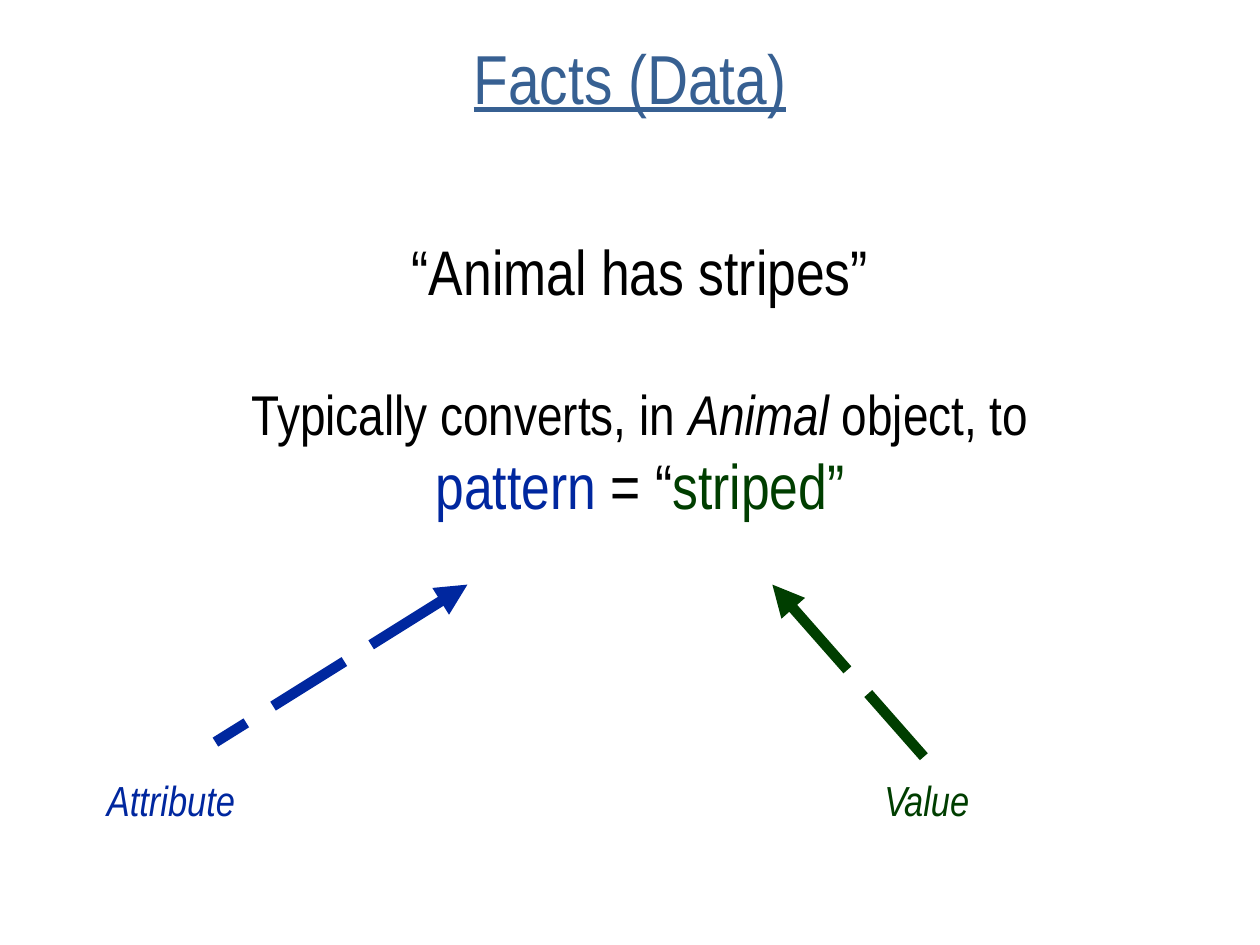
import pptx
import pptx.util
import pptx.dml.color
import pptx.enum.dml
import pptx.enum.shapes
import pptx.enum.text
import pptx.oxml.ns
import lxml.etree

Inches, Pt = pptx.util.Inches, pptx.util.Pt
ALIGN, ANCHOR = pptx.enum.text.PP_ALIGN, pptx.enum.text.MSO_ANCHOR
COLORS = {"title": "376092", "text": "000000", "attribute": "00279F", "value": "003E00"}
FONT = "Arial Narrow"


def rgb(name):
    return pptx.dml.color.RGBColor.from_string(COLORS[name])


def add_run(p, text, size, color="text", **formats):
    r = p.add_run()
    r.text = text
    for key, value in {"name": FONT, "size": Pt(size), **formats}.items():
        setattr(r.font, key, value)
    r.font.color.rgb = rgb(color)


def set_title(slide, text):
    sp = slide.shapes.title
    box = {"left": 0.5, "top": 0.3, "width": 9, "height": 0.62}
    for key, value in box.items():
        setattr(sp, key, Inches(value))
    tf = sp.text_frame
    tf.auto_size = pptx.enum.text.MSO_AUTO_SIZE.NONE
    tf.vertical_anchor = ANCHOR.MIDDLE
    p = tf.paragraphs[0]
    p.alignment = ALIGN.CENTER
    add_run(p, text, 39.6, "title", underline=True)


def add_text(slide, box, paragraphs, align=ALIGN.LEFT, anchor=ANCHOR.TOP):
    """Each paragraph is (space before in points, list of run arguments)."""
    sp = slide.shapes.add_textbox(*map(Inches, box))
    tf = sp.text_frame
    tf.word_wrap = True
    tf.vertical_anchor = anchor
    for i, (space, runs) in enumerate(paragraphs):
        p = tf.add_paragraph() if i else tf.paragraphs[0]
        p.alignment = align
        p.space_before = Pt(space)
        for text, size, color, italic in runs:
            add_run(p, text, size, color, italic=italic)


def add_arrow(slide, tip, end, color):
    """Dashed line with its arrowhead at tip."""
    line_type = pptx.enum.shapes.MSO_CONNECTOR.STRAIGHT
    sp = slide.shapes.add_connector(line_type, *map(Inches, tip + end))
    sp.line.color.rgb = rgb(color)
    sp.line.width = Pt(6)
    sp.line.dash_style = pptx.enum.dml.MSO_LINE.LONG_DASH
    qn = pptx.oxml.ns.qn
    lxml.etree.SubElement(sp.line._get_or_add_ln(), qn("a:headEnd"), type="triangle")
    lxml.etree.SubElement(sp._element.spPr, qn("a:effectLst"))


def main():
    prs = pptx.Presentation()
    prs.slide_width, prs.slide_height = Inches(10), Inches(7.5)
    slide = prs.slides.add_slide(prs.slide_layouts[5])
    set_title(slide, "Facts (Data)")

    # Statement and its conversion
    statement = [
        (0, [("“Animal has stripes”", 36, "text", False)]),
        (41, [("Typically converts, in ", 32, "text", False),
              ("Animal", 32, "text", True),
              (" object, to", 32, "text", False)]),
        (0, [("pattern", 36, "attribute", False),
             (" = “", 36, "text", False),
             ("striped”", 36, "value", False)]),
    ]
    add_text(slide, (1.08, 1.77, 8, 2.45), statement, ALIGN.CENTER, ANCHOR.MIDDLE)

    # Labels with arrows to the parts they name
    labels = [
        ("Attribute", "attribute", 0.75, (3.71, 4.64), (1.71, 5.89)),
        ("Value", "value", 6.92, (6.13, 4.64), (7.38, 6.06)),
    ]
    for text, color, left, tip, end in labels:
        add_text(slide, (left, 6.1, 2.16, 0.5), [(0, [(text, 24, color, True)])])
        add_arrow(slide, tip, end, color)

    prs.save("out.pptx")


main()
